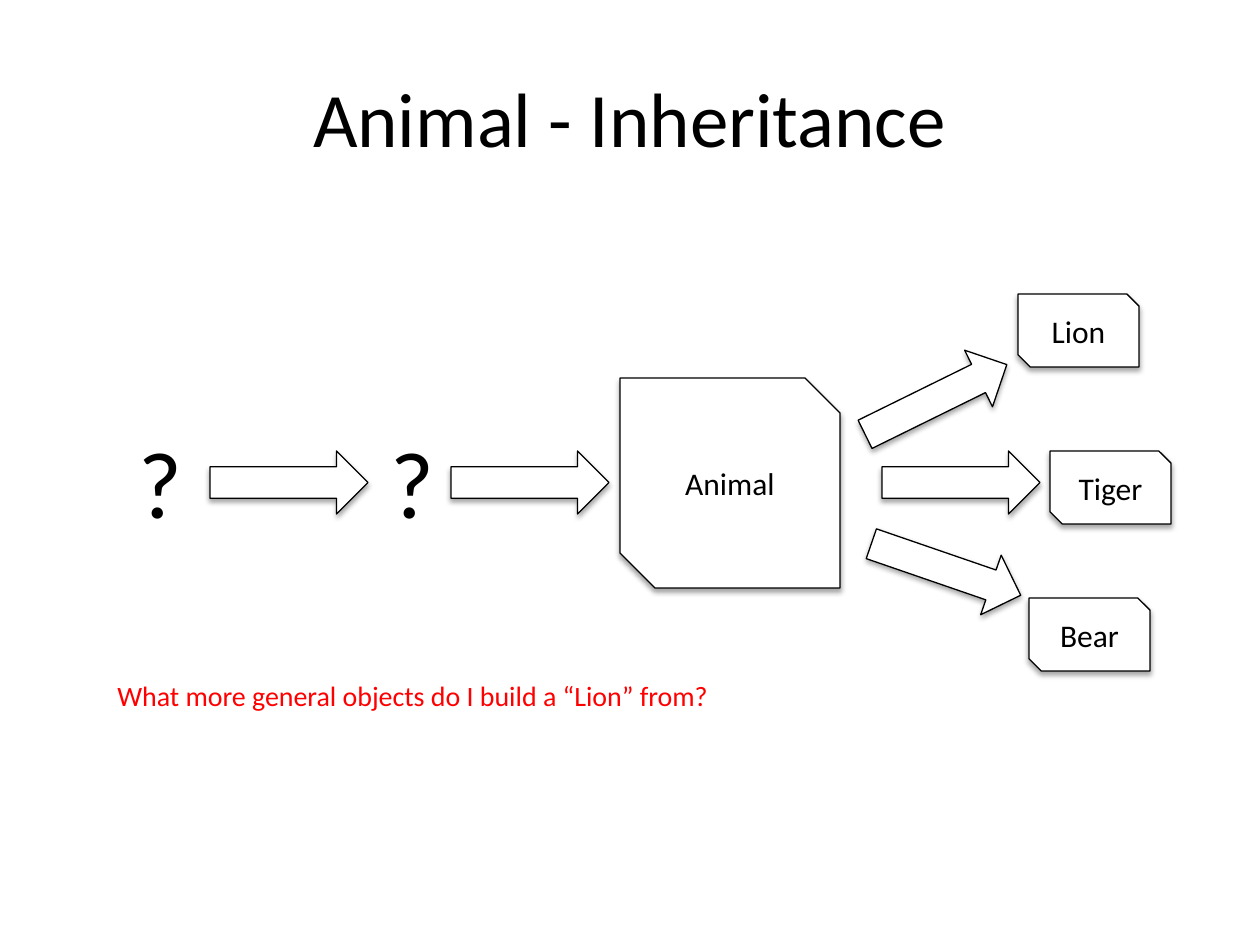
from dataclasses import dataclass

from lxml import etree
from pptx import Presentation
from pptx.dml.color import RGBColor
from pptx.enum.shapes import MSO_SHAPE
from pptx.enum.text import MSO_ANCHOR, MSO_AUTO_SIZE, PP_ALIGN
from pptx.oxml.ns import qn
from pptx.util import Emu, Pt

CARD = MSO_SHAPE.SNIP_2_DIAG_RECTANGLE
ARROW = MSO_SHAPE.RIGHT_ARROW
MIDDLE, TOP = MSO_ANCHOR.MIDDLE, MSO_ANCHOR.TOP
CENTER, LEFT = PP_ALIGN.CENTER, PP_ALIGN.LEFT
FIT_TEXT, NO_FIT = MSO_AUTO_SIZE.SHAPE_TO_FIT_TEXT, MSO_AUTO_SIZE.NONE

PX_PER_INCH = 126


def px(length: int) -> Emu:
    return Emu(round(length * 914400 / PX_PER_INCH))


@dataclass(frozen=True)
class Theme:
    font: str = "Calibri"
    ink: RGBColor = RGBColor(0, 0, 0)
    paper: RGBColor = RGBColor(255, 255, 255)
    accent: RGBColor = RGBColor(255, 0, 0)
    title_size: int = 44
    unknown_size: int = 54
    card_size: int = 18
    question_size: int = 16
    line_width: float = 0.75
    shadow_blur: float = 3.1
    shadow_distance: float = 1.8
    shadow_opacity: int = 35


@dataclass(frozen=True)
class Card:
    text: str
    left: int
    top: int
    width: int = 121
    height: int = 73


@dataclass(frozen=True)
class Arrow:
    left: int
    top: int
    rotation: float = 0
    width: int = 158
    height: int = 63


@dataclass(frozen=True)
class Label:
    text: str
    left: int
    top: int
    width: int
    height: int
    size: int
    color: RGBColor
    is_title: bool = False


THEME = Theme()
ROW_TOP = 451

CARDS = [
    Card("Animal", 620, 378, 220, 210),
    Card("Lion", 1018, 294),
    Card("Tiger", 1050, ROW_TOP),
    Card("Bear", 1029, 598),
]
ARROWS = [
    Arrow(210, ROW_TOP),
    Arrow(451, ROW_TOP),
    Arrow(857, 368, 333.8),
    Arrow(882, ROW_TOP),
    Arrow(867, 538, 19),
]
LABELS = [
    Label("Animal - Inheritance", 63, 38, 1134, 157, THEME.title_size, THEME.ink, True),
    *(Label("?", left, 418, 69, 127, THEME.unknown_size, THEME.ink) for left in (126, 378)),
    Label("What more general objects do I build a “Lion” from?",
          105, 672, 625, 47, THEME.question_size, THEME.accent),
]


def write_text(shape, text: str, size: int, color: RGBColor, alignment) -> None:
    para = shape.text_frame.paragraphs[0]
    para.text = text
    para.alignment = alignment
    para.font.name = THEME.font
    para.font.size = Pt(size)
    para.font.color.rgb = color


def add_soft_shadow(shape) -> None:
    shape.shadow.inherit = False
    effects = shape._element.spPr.find(qn("a:effectLst"))
    shadow = etree.SubElement(
        effects, qn("a:outerShdw"), blurRad=str(Pt(THEME.shadow_blur)),
        dist=str(Pt(THEME.shadow_distance)), dir=str(90 * 60000), rotWithShape="0")
    color = etree.SubElement(shadow, qn("a:srgbClr"), val=str(THEME.ink))
    etree.SubElement(color, qn("a:alpha"), val=str(THEME.shadow_opacity * 1000))


def add_outlined(page, preset, item: Card | Arrow):
    """Add a white preset shape with a thin dark outline and a soft shadow."""
    shape = page.shapes.add_shape(
        preset, px(item.left), px(item.top), px(item.width), px(item.height))
    shape.fill.solid()
    shape.fill.fore_color.rgb = THEME.paper
    shape.line.color.rgb = THEME.ink
    shape.line.width = Pt(THEME.line_width)
    add_soft_shadow(shape)
    return shape


def add_card(page, card: Card) -> None:
    shape = add_outlined(page, CARD, card)
    shape.text_frame.vertical_anchor = MIDDLE
    write_text(shape, card.text, THEME.card_size, THEME.ink, CENTER)


def add_arrow(page, arrow: Arrow) -> None:
    add_outlined(page, ARROW, arrow).rotation = arrow.rotation


def add_label(page, label: Label) -> None:
    box = page.shapes.add_textbox(
        px(label.left), px(label.top), px(label.width), px(label.height))
    frame = box.text_frame
    frame.word_wrap = label.is_title
    frame.auto_size = NO_FIT if label.is_title else FIT_TEXT
    frame.vertical_anchor = MIDDLE if label.is_title else TOP
    write_text(box, label.text, label.size, label.color, CENTER if label.is_title else LEFT)


def main() -> None:
    deck = Presentation()
    deck.slide_width, deck.slide_height = px(1260), px(945)
    page = deck.slides.add_slide(deck.slide_layouts[6])
    for label in LABELS:
        add_label(page, label)
    for card in CARDS:
        add_card(page, card)
    for arrow in ARROWS:
        add_arrow(page, arrow)
    deck.save("out.pptx")


if __name__ == "__main__":
    main()
